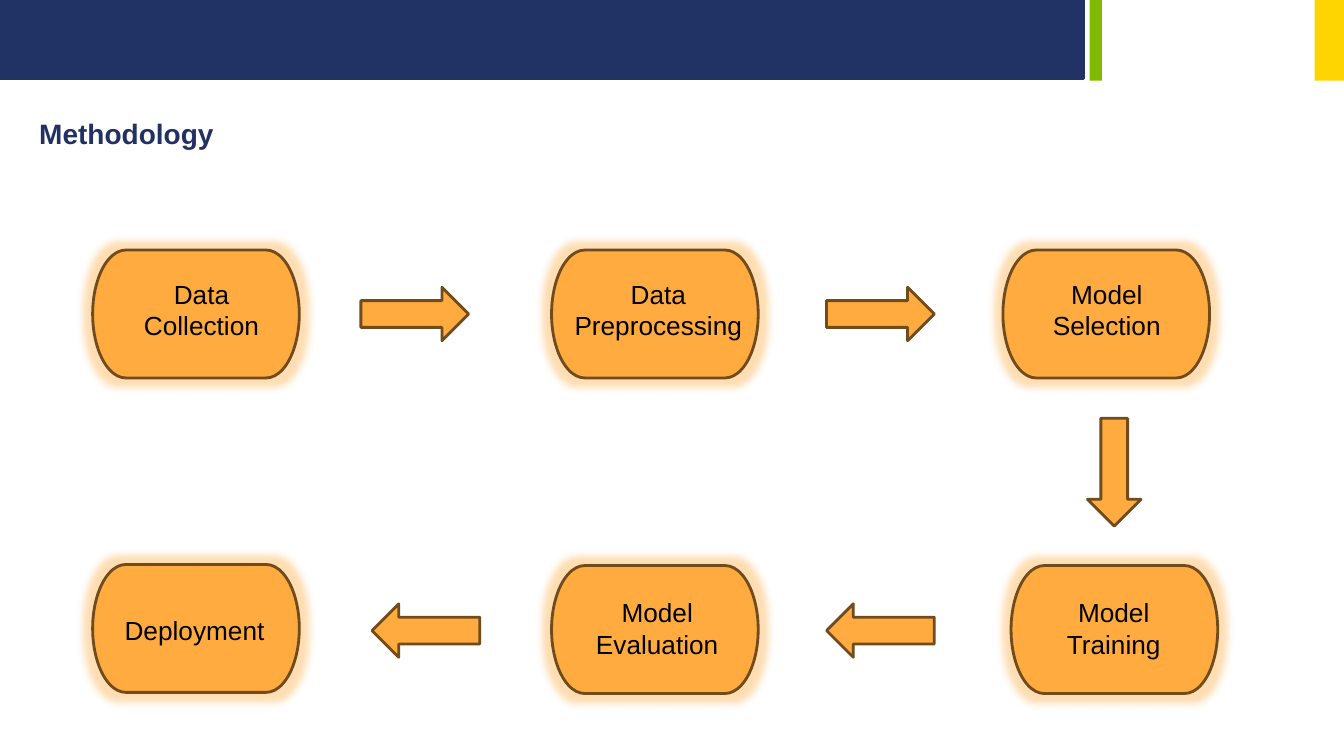
"""Build the Methodology slide: a six-stage process joined by block arrows."""
from dataclasses import dataclass

from lxml import etree
from pptx import Presentation
from pptx import util as u
from pptx.dml.color import RGBColor
from pptx.enum import shapes, text
from pptx.oxml.ns import qn

NAVY, GREEN, YELLOW = "213264", "7FBA00", "FED500"
ORANGE, BROWN, BLACK = "FFAB40", "704B1C", "000000"
STAGE_SIZE = (147.6, 91.4)
ARROW_SIZE = (77, 38.2)
KIND = shapes.MSO_SHAPE


@dataclass
class Bar:
    left: float
    width: float
    height: float
    fill: str
    line: str = ""


@dataclass
class Stage:
    left: float
    top: float
    label: str
    label_left: float
    label_top: float
    label_width: float


@dataclass
class Arrow:
    left: float
    top: float
    rotation: int = 0


BARS = [
    Bar(0, 774, 56.2, NAVY, NAVY),
    Bar(778.3, 8.7, 57.6, GREEN),
    Bar(939, 21, 57.6, YELLOW),
]
STAGES = [
    Stage(66.2, 178.6, "Data Collection", 87.8, 195.1, 112.3),
    Stage(394, 178.6, "Data Preprocessing", 398.9, 195.1, 142.6),
    Stage(716.4, 178.6, "Model Selection", 733, 195.1, 115.2),
    Stage(722.2, 404, "Model Training", 739.4, 422.6, 112.3),
    Stage(394, 404, "Model Evaluation", 402.5, 422.6, 133.9),
    Stage(66.2, 403.2, "Deployment", 75.6, 434.9, 126.7),
]
ARROWS = [
    Arrow(257.8, 205.2),
    Arrow(590.4, 205.2),
    Arrow(757.4, 318.2, 90),
    Arrow(590.4, 431.3, 180),
    Arrow(265.7, 431.3, 180),
]


def colour(code: str) -> RGBColor:
    return RGBColor.from_string(code)


def add_block(page, kind, left: float, top: float, size: tuple, fill: str, line: str):
    box = page.shapes.add_shape(kind, u.Pt(left), u.Pt(top), *map(u.Pt, size))
    box.shadow.inherit = False
    box.fill.solid()
    box.fill.fore_color.rgb = colour(fill)
    if line:
        box.line.color.rgb = colour(line)
        box.line.width = u.Pt(2)
    else:
        box.line.fill.background()
    return box


def add_glow(box, code: str) -> None:
    effects = box._element.spPr.find(qn("a:effectLst"))
    glow = etree.SubElement(effects, qn("a:glow"), rad=str(u.Pt(11)))
    tint = etree.SubElement(glow, qn("a:srgbClr"), val=code)
    etree.SubElement(tint, qn("a:alpha"), val="40000")


def add_text(page, words: str, left: float, top: float, width: float, height: float,
             size: float, code: str, align, bold: bool = False) -> None:
    box = page.shapes.add_textbox(*map(u.Pt, (left, top, width, height)))
    box.text_frame.word_wrap = True
    box.text_frame.text = words
    para = box.text_frame.paragraphs[0]
    para.alignment = align
    for span in para.runs:
        span.font.name = "Arial"
        span.font.size = u.Pt(size)
        span.font.bold = bold
        span.font.color.rgb = colour(code)


def main() -> None:
    deck = Presentation()
    deck.slide_width, deck.slide_height = u.Pt(960), u.Pt(540)
    page = deck.slides.add_slide(deck.slide_layouts[6])
    for bar in BARS:
        add_block(page, KIND.RECTANGLE, bar.left, 0, (bar.width, bar.height), bar.fill, bar.line)
    add_text(page, "Methodology", 20.9, 79.9, 480, 31.7, 20, "213163",
             text.PP_ALIGN.LEFT, bold=True)
    for stage in STAGES:
        box = add_block(page, KIND.FLOWCHART_TERMINATOR, stage.left, stage.top,
                        STAGE_SIZE, ORANGE, BROWN)
        add_glow(box, ORANGE)
    for stage in STAGES:
        height = 52.6 if " " in stage.label else 30.2
        add_text(page, stage.label, stage.label_left, stage.label_top, stage.label_width,
                 height, 18.7, BLACK, text.PP_ALIGN.CENTER)
    for arrow in ARROWS:
        box = add_block(page, KIND.RIGHT_ARROW, arrow.left, arrow.top, ARROW_SIZE, ORANGE, BROWN)
        box.rotation = arrow.rotation
    deck.save("out.pptx")


if __name__ == "__main__":
    main()
